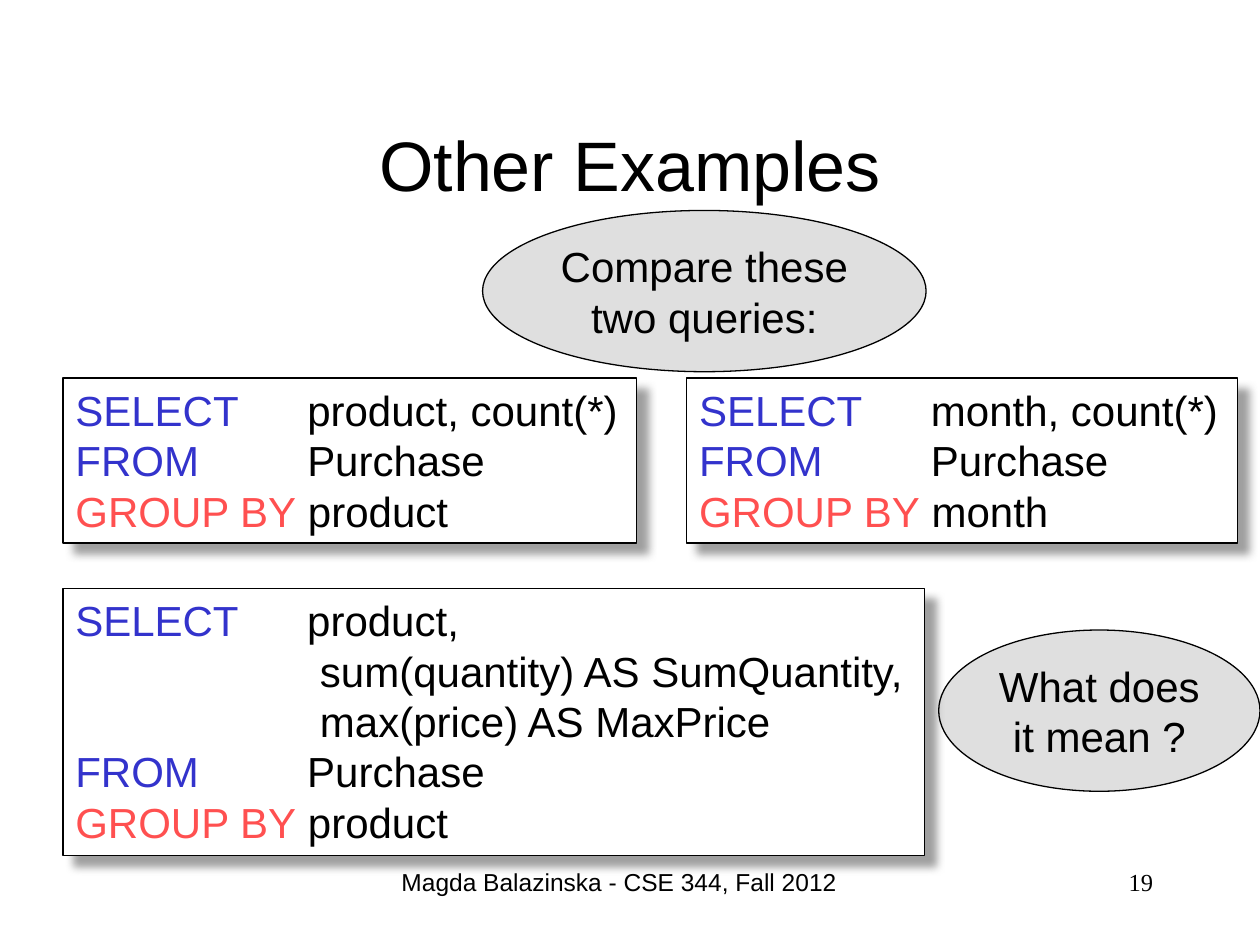
from lxml import etree
from pptx import Presentation
from pptx import util as u
from pptx.dml.color import RGBColor
from pptx.enum import shapes, text
from pptx.oxml import parse_xml
from pptx.oxml.ns import nsdecls, qn

COLORS = {
    "text": "000000",
    "keyword": "3333CC",
    "grouping": "FF5050",
    "paper": "FFFFFF",
    "bubble": "C0C0C0",
    "shadow": "808080",
}
CODE_INDENT = " " * 21
COLUMN_TAB = u.Inches(1.84)


def rgb(name):
    return RGBColor.from_string(COLORS[name])


def inches(box):
    return [u.Inches(value) for value in box]


def set_frame(frame, **values):
    for name, value in values.items():
        setattr(frame, name, value)


def add_run(paragraph, wording, color="text", size=24, font="Arial"):
    run = paragraph.add_run()
    run.text = wording
    for name, value in {"size": u.Pt(size), "name": font}.items():
        setattr(run.font, name, value)
    run.font.color.rgb = rgb(color)


def next_paragraph(frame, index, align):
    paragraph = frame.add_paragraph() if index else frame.paragraphs[0]
    paragraph.alignment = align
    return paragraph


def add_outlined(slide, preset, box, fill):
    outlined = slide.shapes.add_shape(preset, *inches(box))
    outlined.shadow.inherit = False
    outlined.fill.solid()
    outlined.fill.fore_color.rgb = rgb(fill)
    outlined.line.color.rgb = rgb("text")
    outlined.line.width = u.Pt(0.75)
    return outlined


def cast_shadow(outlined):
    effects = outlined._element.spPr.find(qn("a:effectLst"))
    effects.append(parse_xml(
        f'<a:outerShdw {nsdecls("a")} blurRad="{u.Pt(5)}" dist="{u.Pt(8.5)}"'
        f' dir="2700000" algn="tl" rotWithShape="0">'
        f'<a:srgbClr val="{COLORS["shadow"]}"><a:alpha val="75000"/></a:srgbClr>'
        f'</a:outerShdw>'))


def add_column_tab(paragraph):
    tabs = etree.SubElement(paragraph._p.get_or_add_pPr(), qn("a:tabLst"))
    etree.SubElement(tabs, qn("a:tab"), pos=str(COLUMN_TAB), algn="l")


def add_query(slide, box, columns, group):
    """Add a shadowed SQL box; columns holds one line of the select list each."""
    query = add_outlined(slide, shapes.MSO_SHAPE.RECTANGLE, box, "paper")
    cast_shadow(query)
    set_frame(query.text_frame, word_wrap=True,
              vertical_anchor=text.MSO_ANCHOR.TOP,
              auto_size=text.MSO_AUTO_SIZE.SHAPE_TO_FIT_TEXT)
    lines = [("SELECT", "keyword", "\t" + columns[0])]
    lines += [("", "text", CODE_INDENT + column) for column in columns[1:]]
    lines += [("FROM", "keyword", "\tPurchase"),
              ("GROUP BY", "grouping", " " + group)]
    for index, (keyword, color, rest) in enumerate(lines):
        line = next_paragraph(query.text_frame, index, text.PP_ALIGN.LEFT)
        if rest.startswith("\t"):
            add_column_tab(line)
        if keyword:
            add_run(line, keyword, color)
        add_run(line, rest)


def add_bubble(slide, box, lines):
    bubble = add_outlined(slide, shapes.MSO_SHAPE.OVAL, box, "bubble")
    color = bubble._element.spPr.find(qn("a:solidFill"))[0]
    etree.SubElement(color, qn("a:alpha"), val="50000")
    set_frame(bubble.text_frame, word_wrap=False,
              vertical_anchor=text.MSO_ANCHOR.MIDDLE)
    for index, wording in enumerate(lines):
        add_run(next_paragraph(bubble.text_frame, index, text.PP_ALIGN.CENTER),
                wording)


def add_title(slide, box, wording):
    title = slide.shapes.title
    title.left, title.top, title.width, title.height = inches(box)
    set_frame(title.text_frame, vertical_anchor=text.MSO_ANCHOR.MIDDLE)
    add_run(next_paragraph(title.text_frame, 0, text.PP_ALIGN.CENTER),
            wording, size=40)


def add_footer(slide, box, wording, align, font):
    footer = slide.shapes.add_textbox(*inches(box))
    set_frame(footer.text_frame, word_wrap=True)
    add_run(next_paragraph(footer.text_frame, 0, align), wording,
            size=14, font=font)


def main():
    deck = Presentation()
    deck.slide_width, deck.slide_height = inches((10, 7.5))
    slide = deck.slides.add_slide(deck.slide_layouts[5])

    add_title(slide, (0.75, 0.67, 8.5, 1.25), "Other Examples")
    add_query(slide, (0.5, 4.67, 6.84, 2.12),
              ["product,", "sum(quantity) AS SumQuantity,",
               "max(price) AS MaxPrice"], "product")
    add_bubble(slide, (7.45, 5, 2.55, 1.28), ["What does", "it mean ?"])
    add_footer(slide, (3.08, 6.83, 3.67, 0.5),
               "Magda Balazinska - CSE 344, Fall 2012",
               text.PP_ALIGN.CENTER, "Arial")
    for left, width, group in ((0.5, 4.55, "product"), (5.45, 4.37, "month")):
        add_query(slide, (left, 3, width, 1.31), [f"{group}, count(*)"], group)
    add_bubble(slide, (3.83, 1.67, 3.52, 1.28),
               ["Compare these", "two queries:"])
    add_footer(slide, (7.17, 6.83, 2.08, 0.5), "19",
               text.PP_ALIGN.RIGHT, "Times New Roman")

    deck.save("out.pptx")


if __name__ == "__main__":
    main()
